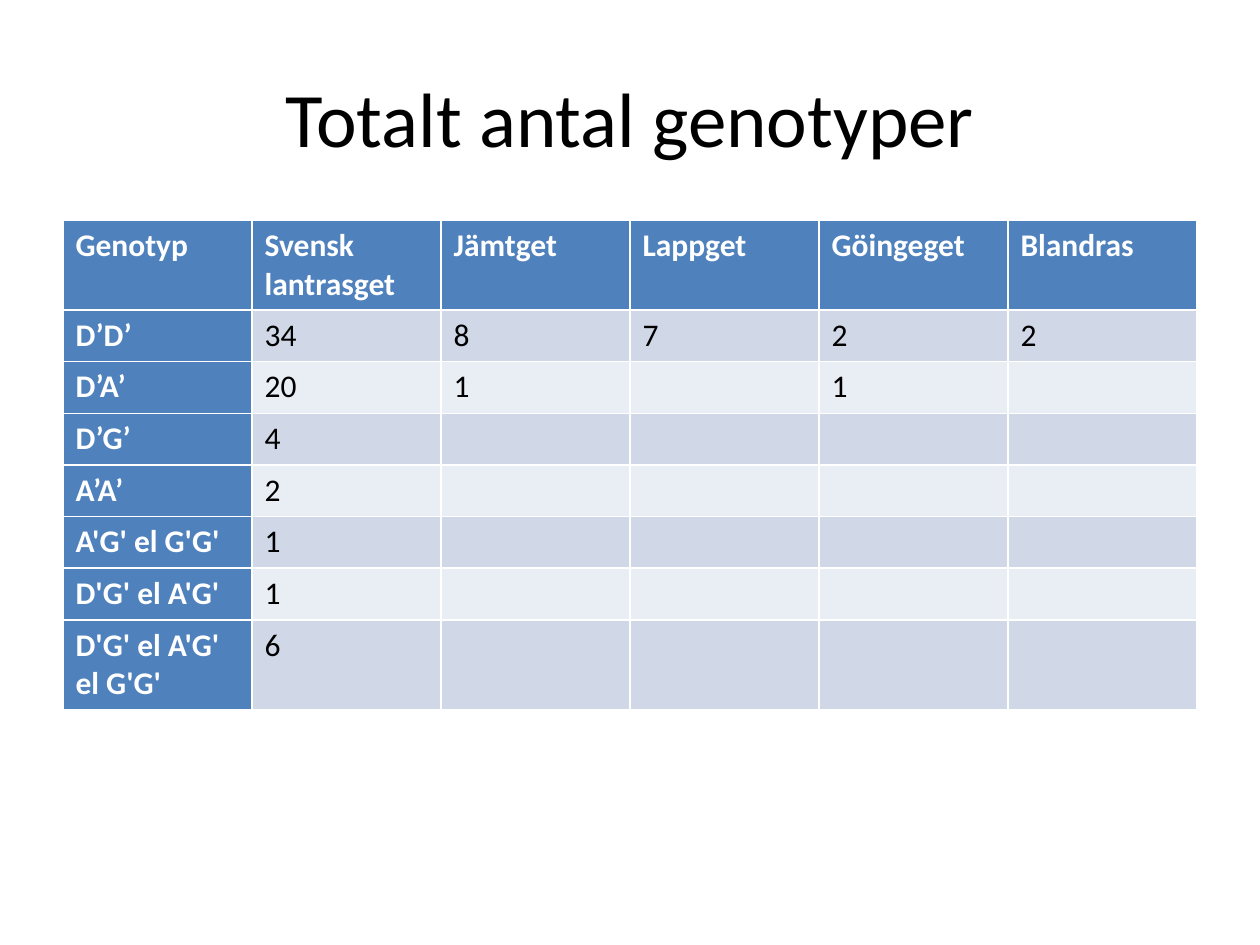
"""Build a slide with a table of genotype counts per goat breed."""
from pptx import Presentation
from pptx import util as u
from pptx.dml.color import RGBColor
from pptx.enum import text

TITLE = "Totalt antal genotyper"
BREEDS = ["Svensk lantrasget", "Jämtget", "Lappget", "Göingeget", "Blandras"]
COUNTS = [
    ("D’D’", [34, 8, 7, 2, 2]),
    ("D’A’", [20, 1, "", 1, ""]),
    ("D’G’", [4]),
    ("A’A’", [2]),
    ("A'G' el G'G'", [1]),
    ("D'G' el A'G'", [1]),
    ("D'G' el A'G' el G'G'", [6]),
]
COLOURS = {
    "heading": "4F81BD",
    "odd": "D0D8E8",
    "even": "E9EDF4",
    "light": "FFFFFF",
    "dark": "000000",
}
FONT = "Calibri"
LEFT, WIDTH = 0.5, 9
TABLE_TOP, ROW_HEIGHT = 1.75, 0.41


def colour(name):
    """Return a named colour."""
    return RGBColor.from_string(COLOURS[name])


def style(para, size, shade, bold=False):
    """Set the font of a paragraph."""
    font = para.font
    font.name, font.size, font.bold = FONT, u.Pt(size), bold
    font.color.rgb = colour(shade)


def add_title(page):
    """Place and format the title."""
    box = page.shapes.title
    box.left, box.top = u.Inches(LEFT), u.Inches(0.3)
    box.width, box.height = u.Inches(WIDTH), u.Inches(1.25)
    box.text_frame.text = TITLE
    box.text_frame.vertical_anchor = text.MSO_ANCHOR.MIDDLE
    para = box.text_frame.paragraphs[0]
    para.alignment = text.PP_ALIGN.CENTER
    style(para, 44, "dark")


def add_counts(page):
    """Add the table with heading row, heading column and banded rows."""
    columns = len(BREEDS) + 1
    rows = [["Genotyp", *BREEDS]] + [[name, *counts] for name, counts in COUNTS]
    table = page.shapes.add_table(
        len(rows), columns, u.Inches(LEFT), u.Inches(TABLE_TOP),
        u.Inches(WIDTH), u.Inches(ROW_HEIGHT * len(rows))).table
    table.first_col = True
    for r, row in enumerate(rows):
        row += [""] * (columns - len(row))
        for c, value in enumerate(row):
            heading = r == 0 or c == 0
            band = "odd" if r % 2 else "even"
            cell = table.cell(r, c)
            cell.text = str(value)
            cell.fill.solid()
            cell.fill.fore_color.rgb = colour("heading" if heading else band)
            style(cell.text_frame.paragraphs[0], 18,
                  "light" if heading else "dark", heading)


def main():
    """Build and save the deck."""
    deck = Presentation()
    deck.slide_width, deck.slide_height = u.Inches(10), u.Inches(7.5)
    page = deck.slides.add_slide(deck.slide_layouts[5])
    add_title(page)
    add_counts(page)
    deck.save("out.pptx")


if __name__ == "__main__":
    main()
